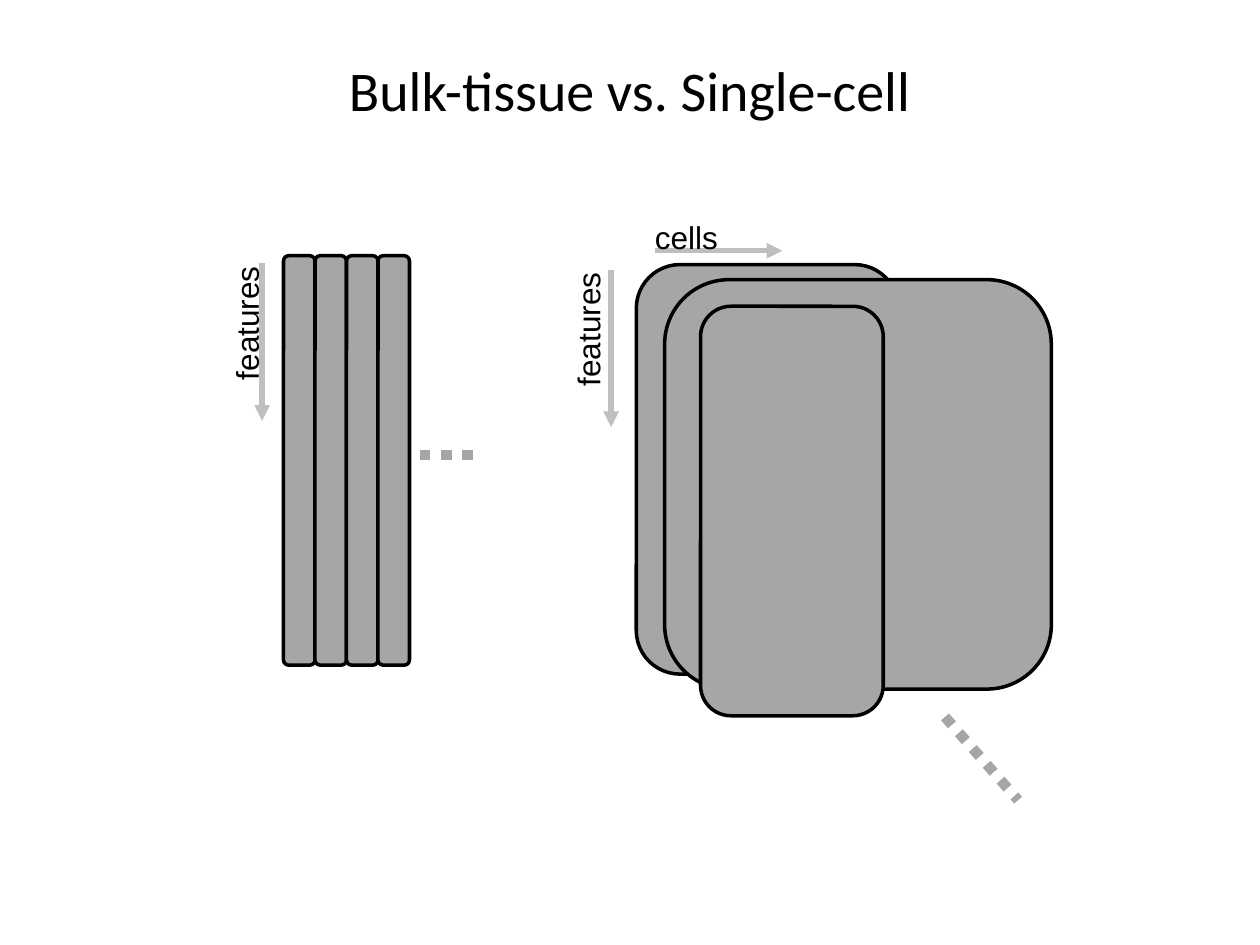
import pptx
import pptx.dml.color
import pptx.enum.dml
import pptx.enum.shapes
import pptx.enum.text
import pptx.util
from lxml import etree
from pptx.oxml.ns import qn

Pt = pptx.util.Pt
COLORS = {"matrix": "A6A6A6", "outline": "000000", "axis": "BFBFBF", "text": "000000"}
LABEL_WIDTH, LABEL_HEIGHT = 80, 28.8


def rgb(name):
    return pptx.dml.color.RGBColor.from_string(COLORS[name])


def add_run(paragraph, text, font_name, size):
    run = paragraph.add_run()
    run.text = text
    run.font.name = font_name
    run.font.size = Pt(size)
    run.font.color.rgb = rgb("text")


def add_title(slide, left, top, width, height):
    title = slide.shapes.title
    title.left, title.top = Pt(left), Pt(top)
    title.width, title.height = Pt(width), Pt(height)
    title.text_frame.vertical_anchor = pptx.enum.text.MSO_ANCHOR.MIDDLE
    heading = title.text_frame.paragraphs[0]
    heading.alignment = pptx.enum.text.PP_ALIGN.CENTER
    add_run(heading, "Bulk-tissue vs. Single-cell", "Calibri", 32)


def add_matrix(slide, left, top, width, height):
    matrix = slide.shapes.add_shape(
        pptx.enum.shapes.MSO_SHAPE.ROUNDED_RECTANGLE,
        Pt(left), Pt(top), Pt(width), Pt(height))
    matrix.shadow.inherit = False
    matrix.fill.solid()
    matrix.fill.fore_color.rgb = rgb("matrix")
    matrix.line.color.rgb = rgb("outline")
    matrix.line.width = Pt(2)


def add_line(slide, start, end, color, width):
    line = slide.shapes.add_connector(
        pptx.enum.shapes.MSO_CONNECTOR.STRAIGHT,
        Pt(start[0]), Pt(start[1]), Pt(end[0]), Pt(end[1]))
    line.line.color.rgb = rgb(color)
    line.line.width = Pt(width)
    etree.SubElement(line.element.spPr, qn("a:effectLst"))
    return line


def add_axis(slide, start, end):
    axis = add_line(slide, start, end, "axis", 3)
    outline = axis.element.spPr.find(qn("a:ln"))
    etree.SubElement(outline, qn("a:tailEnd"), type="triangle")


def add_continuation(slide, start, end):
    """Dotted line meaning that more matrices follow."""
    dots = add_line(slide, start, end, "matrix", 6)
    dots.line.dash_style = pptx.enum.dml.MSO_LINE.ROUND_DOT


def add_label(slide, text, left, top, rotation=0):
    label = slide.shapes.add_textbox(Pt(left), Pt(top), Pt(LABEL_WIDTH), Pt(LABEL_HEIGHT))
    label.rotation = rotation
    label.text_frame.word_wrap = rotation == 0
    label.text_frame.auto_size = pptx.enum.text.MSO_AUTO_SIZE.SHAPE_TO_FIT_TEXT
    add_run(label.text_frame.paragraphs[0], text, "Arial", 18)


def add_feature_axis(slide, x, top, label_gap):
    """Downward axis; label_gap runs from the label's centre to the arrow."""
    add_axis(slide, (x, top), (x, top + 90))
    add_label(slide, "features", x - label_gap - LABEL_WIDTH / 2, top + 19.4, 270)


def add_bulk_tissue(slide, left, top, width, height, samples=4):
    sample_width = width / samples
    for sample in range(samples):
        add_matrix(slide, left + sample * sample_width, top, sample_width, height)
    add_feature_axis(slide, left - 12.2, top + 4.4, 9)
    dots_left, middle = left + width + 6, top + height / 2 - 3.2
    add_continuation(slide, (dots_left, middle), (dots_left + 36, middle))


def add_single_cell(slide, left, top, height):
    for dx, dy, width in [(0, 0, 149.8), (16.2, 8.6, 221), (36.7, 23.8, 104.4)]:
        add_matrix(slide, left + dx, top + dy, width, height)
    add_feature_axis(slide, left - 14.4, top + 2.9, 13.3)
    add_axis(slide, (left + 10.8, top - 7.9), (left + 83.5, top - 7.9))
    add_label(slide, "cells", left + 3.6, top - 30.2)
    add_continuation(slide, (left + 176.4, top + 258.5), (left + 218.2, top + 306))


def main():
    deck = pptx.Presentation()
    deck.slide_width, deck.slide_height = Pt(720), Pt(540)
    slide = deck.slides.add_slide(deck.slide_layouts[5])
    add_title(slide, 36, 5.8, 648, 90)
    add_bulk_tissue(slide, 162, 146.1, 72, 234)
    add_single_cell(slide, 363.6, 151.2, 234)
    deck.save("out.pptx")


if __name__ == "__main__":
    main()
